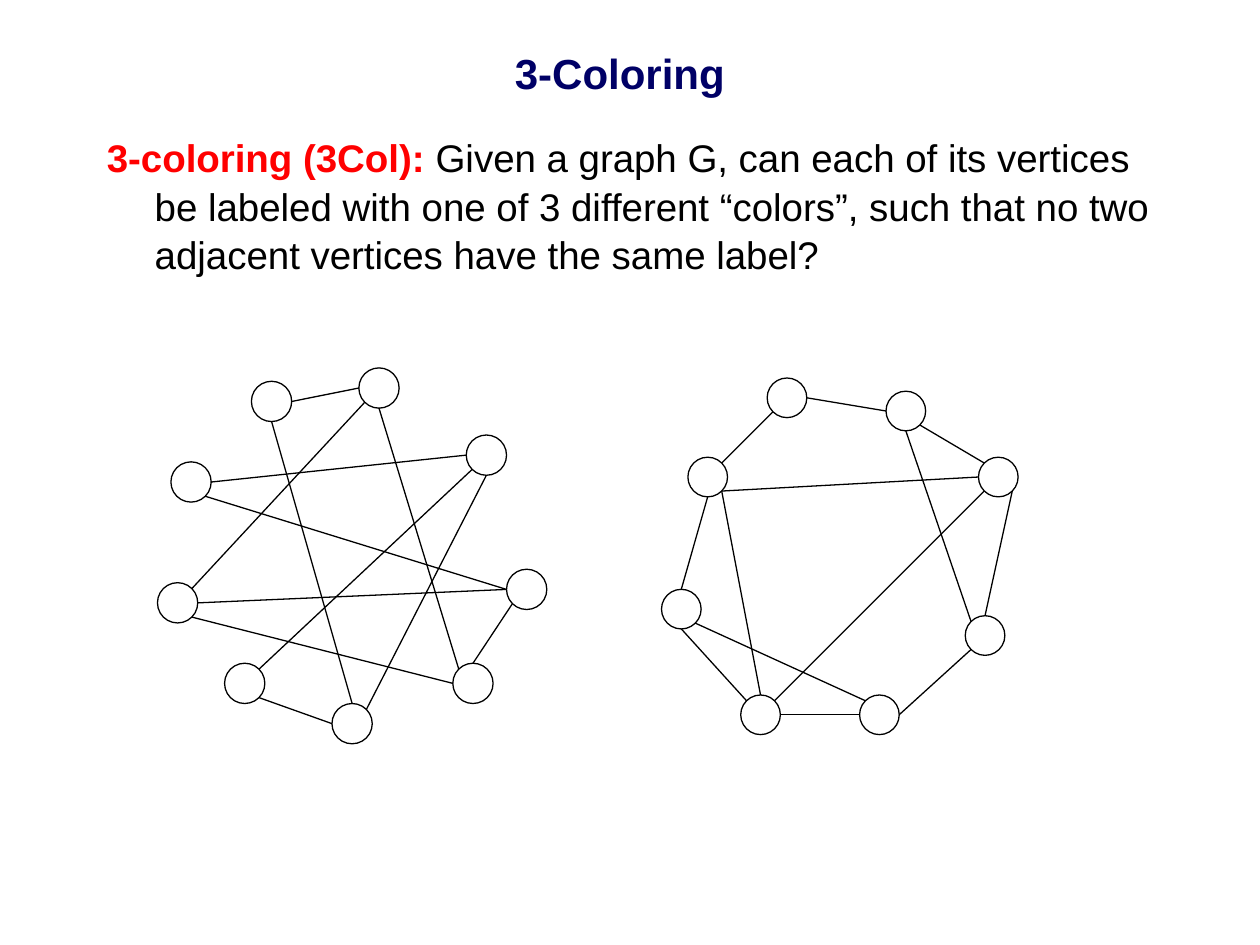
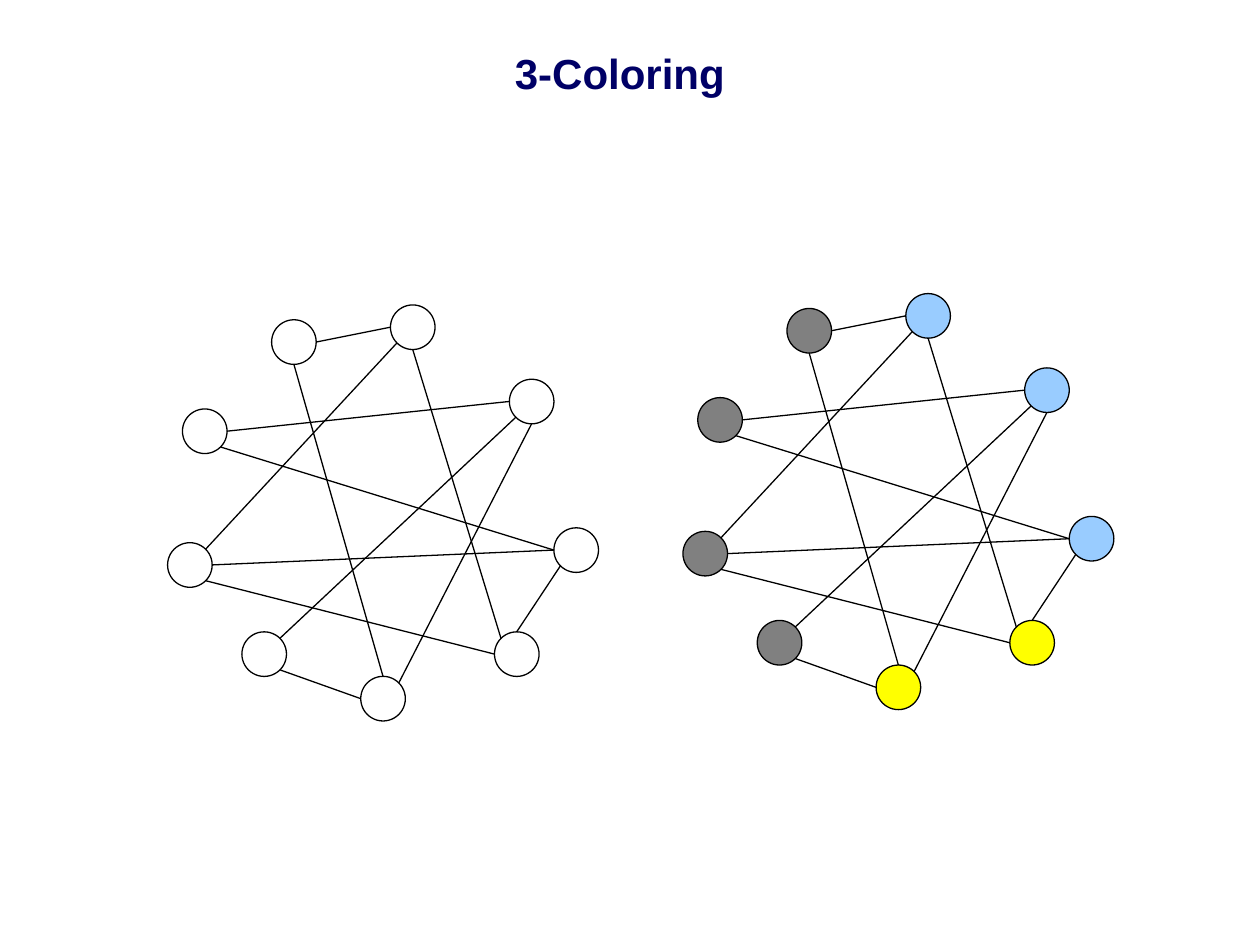
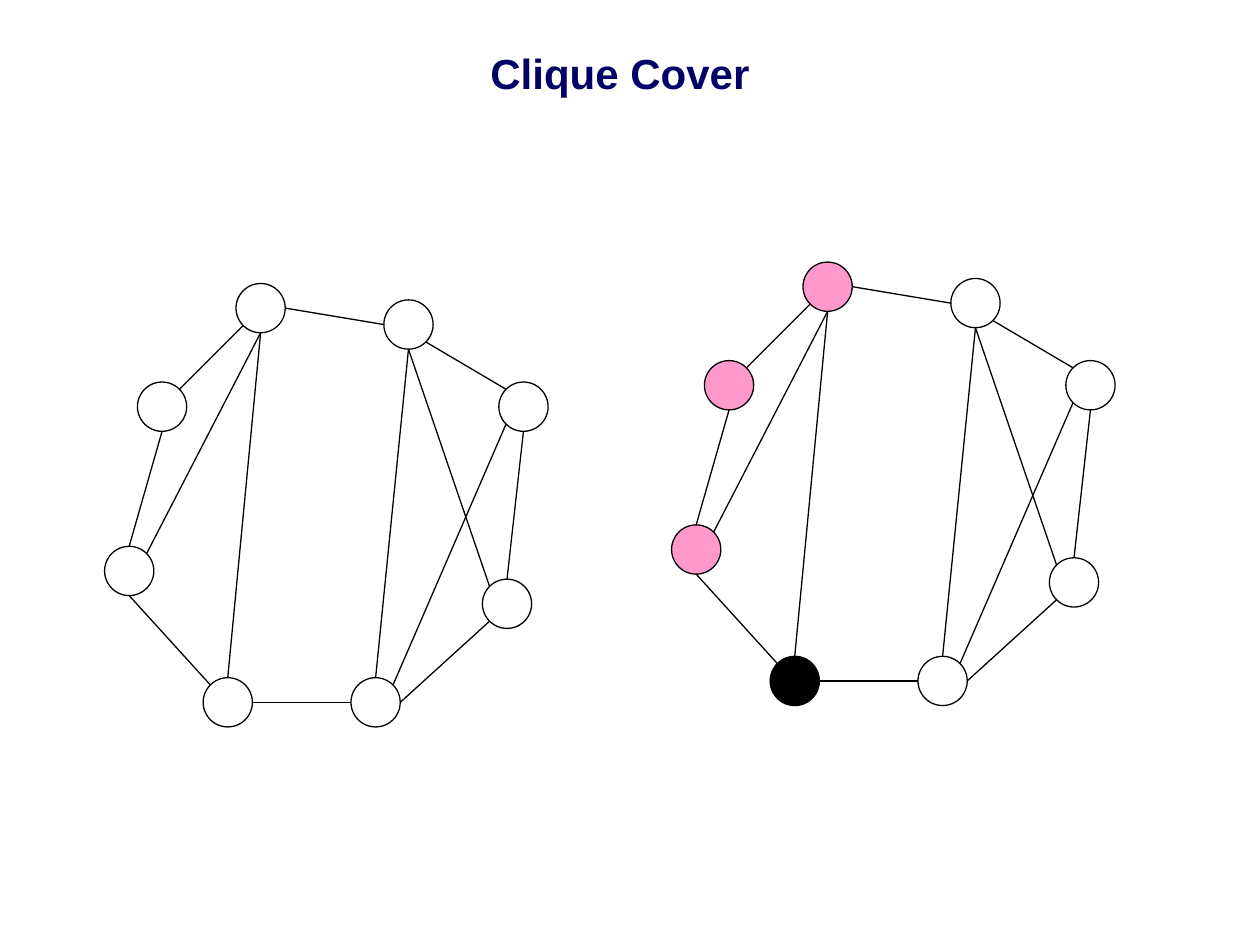
import math
from dataclasses import dataclass
from enum import IntEnum
from typing import NamedTuple

import lxml.etree
import pptx
import pptx.dml.color
import pptx.enum.shapes
import pptx.enum.text
import pptx.oxml.ns
import pptx.presentation
import pptx.slide
import pptx.text.text
import pptx.util
from pptx.util import Inches


@dataclass(frozen=True)
class Theme:
    font: str = "Arial"
    title_size: float = 24
    body_size: float = 22
    line_width: float = 0.75
    navy: str = "000066"
    red: str = "FF0000"
    black: str = "000000"
    white: str = "FFFFFF"
    gray: str = "808080"
    yellow: str = "FFFF00"
    blue: str = "99CCFF"
    pink: str = "FF99CC"


THEME = Theme()
NODE_UNITS = 3


class Site(IntEnum):
    RIGHT = 0
    BOTTOM_RIGHT = 1
    BOTTOM = 2
    BOTTOM_LEFT = 3
    LEFT = 4
    TOP_LEFT = 5
    TOP = 6
    TOP_RIGHT = 7


class Node(NamedTuple):
    column: int
    row: int


class Edge(NamedTuple):
    start: int
    start_site: Site
    end: int
    end_site: Site


@dataclass(frozen=True)
class Graph:
    nodes: tuple[Node, ...]
    edges: tuple[Edge, ...]

    @property
    def width_units(self) -> int:
        return max(node.column for node in self.nodes) + NODE_UNITS


@dataclass(frozen=True)
class Drawing:
    graph: Graph
    left: float
    top: float
    width: float
    fills: tuple[str, ...] = ()


@dataclass(frozen=True)
class GraphSlide:
    title: str
    drawings: tuple[Drawing, ...]
    term: str = ""
    definition: str = ""


NINE_NODES = Graph(
    nodes=(
        Node(7, 1), Node(1, 7), Node(0, 16), Node(13, 25), Node(15, 0),
        Node(23, 5), Node(22, 22), Node(26, 15), Node(5, 22),
    ),
    edges=(
        Edge(0, Site.BOTTOM, 3, Site.TOP),
        Edge(4, Site.BOTTOM, 6, Site.TOP_LEFT),
        Edge(7, Site.LEFT, 2, Site.RIGHT),
        Edge(1, Site.RIGHT, 5, Site.LEFT),
        Edge(0, Site.RIGHT, 4, Site.LEFT),
        Edge(6, Site.TOP, 7, Site.BOTTOM_LEFT),
        Edge(7, Site.LEFT, 1, Site.BOTTOM_RIGHT),
        Edge(2, Site.TOP_RIGHT, 4, Site.BOTTOM_LEFT),
        Edge(2, Site.BOTTOM_RIGHT, 6, Site.LEFT),
        Edge(8, Site.TOP_RIGHT, 5, Site.BOTTOM_LEFT),
        Edge(8, Site.BOTTOM_RIGHT, 3, Site.LEFT),
        Edge(5, Site.BOTTOM, 3, Site.TOP_RIGHT),
    ),
)

OCTAGON_NODES = (
    Node(8, 0), Node(2, 6), Node(0, 16), Node(15, 24),
    Node(17, 1), Node(24, 6), Node(23, 18), Node(6, 24),
)
OCTAGON_EDGES = (
    Edge(0, Site.BOTTOM_LEFT, 1, Site.TOP_RIGHT),
    Edge(4, Site.BOTTOM_RIGHT, 5, Site.TOP_LEFT),
    Edge(0, Site.RIGHT, 4, Site.LEFT),
    Edge(3, Site.RIGHT, 6, Site.BOTTOM_LEFT),
    Edge(2, Site.TOP, 1, Site.BOTTOM),
    Edge(7, Site.RIGHT, 3, Site.LEFT),
    Edge(2, Site.BOTTOM, 7, Site.TOP_LEFT),
    Edge(4, Site.BOTTOM, 6, Site.TOP_LEFT),
)
COLORING_OCTAGON = Graph(
    OCTAGON_NODES,
    OCTAGON_EDGES + (
        Edge(6, Site.TOP, 5, Site.BOTTOM_RIGHT),
        Edge(7, Site.TOP_RIGHT, 5, Site.BOTTOM_LEFT),
        Edge(2, Site.BOTTOM_RIGHT, 3, Site.TOP_LEFT),
        Edge(7, Site.TOP, 1, Site.BOTTOM_RIGHT),
        Edge(1, Site.BOTTOM_RIGHT, 5, Site.LEFT),
    ),
)
CLIQUE_OCTAGON = Graph(
    OCTAGON_NODES,
    OCTAGON_EDGES + (
        Edge(6, Site.TOP, 5, Site.BOTTOM),
        Edge(7, Site.TOP, 0, Site.BOTTOM),
        Edge(0, Site.BOTTOM, 2, Site.TOP_RIGHT),
        Edge(4, Site.BOTTOM, 3, Site.TOP),
        Edge(5, Site.BOTTOM_LEFT, 3, Site.TOP_RIGHT),
    ),
)

THREE_COLORS = (
    THEME.gray, THEME.gray, THEME.gray, THEME.yellow, THEME.blue,
    THEME.blue, THEME.yellow, THEME.blue, THEME.gray,
)
CLIQUE_COLORS = (THEME.pink,) * 3 + (THEME.white,) * 4 + (THEME.black,)

SLIDES = (
    GraphSlide(
        "3-Coloring",
        (
            Drawing(NINE_NODES, 1.25, 2.92, 3.09),
            Drawing(COLORING_OCTAGON, 5.25, 3, 2.83),
        ),
        "3-coloring (3Col):",
        " Given a graph G, can each of its vertices be labeled with one of 3 "
        "different “colors”, such that no two adjacent vertices have the same label?",
    ),
    GraphSlide(
        "3-Coloring",
        (
            Drawing(NINE_NODES, 1.33, 2.42, 3.42),
            Drawing(NINE_NODES, 5.42, 2.33, 3.42, THREE_COLORS),
        ),
    ),
    GraphSlide(
        "Clique Cover",
        (
            Drawing(CLIQUE_OCTAGON, 5.33, 2.08, 3.52, CLIQUE_COLORS),
            Drawing(CLIQUE_OCTAGON, 0.83, 2.25, 3.52),
        ),
    ),
)


def rgb(color: str) -> pptx.dml.color.RGBColor:
    return pptx.dml.color.RGBColor.from_string(color)


def format_span(span: pptx.text.text._Run, size: float, color: str, bold: bool) -> None:
    span.font.name = THEME.font
    span.font.size = pptx.util.Pt(size)
    span.font.bold = bold
    span.font.color.rgb = rgb(color)


def format_line(line: pptx.dml.line.LineFormat) -> None:
    line.color.rgb = rgb(THEME.black)
    line.width = pptx.util.Pt(THEME.line_width)


def add_title(page: pptx.slide.Slide, text: str) -> None:
    title = page.shapes.title
    title.left, title.top = Inches(0.67), Inches(0.33)
    title.width, title.height = Inches(8.5), Inches(0.5)
    title.text_frame.text = text
    title.text_frame.vertical_anchor = pptx.enum.text.MSO_ANCHOR.MIDDLE
    para = title.text_frame.paragraphs[0]
    para.alignment = pptx.enum.text.PP_ALIGN.CENTER
    format_span(para.runs[0], THEME.title_size, THEME.navy, True)


def add_definition(page: pptx.slide.Slide, term: str, definition: str) -> None:
    box = page.shapes.add_textbox(Inches(0.75), Inches(1), Inches(8.5), Inches(1.67))
    box.text_frame.word_wrap = True
    para = box.text_frame.paragraphs[0]
    para.line_spacing = 1.05
    indent = Inches(0.38)
    properties = para._p.get_or_add_pPr()
    properties.set("marL", str(indent))
    properties.set("indent", str(-indent))
    for text, color, bold in (
        (term, THEME.red, True),
        (definition, THEME.black, False),
    ):
        span = para.add_run()
        span.text = text
        format_span(span, THEME.body_size, color, bold)


def draw_graph(page: pptx.slide.Slide, drawing: Drawing) -> None:
    graph = drawing.graph
    unit = drawing.width / graph.width_units
    diameter = NODE_UNITS * unit
    group = page.shapes.add_group_shape()

    def corner(node: Node) -> tuple[float, float]:
        return drawing.left + node.column * unit, drawing.top + node.row * unit

    def site_point(index: int, site: Site) -> tuple[int, int]:
        left, top = corner(graph.nodes[index])
        angle = site * math.pi / 4
        radius = diameter / 2
        return (
            Inches(left + radius * (1 + math.cos(angle))),
            Inches(top + radius * (1 + math.sin(angle))),
        )

    fills = drawing.fills or (THEME.white,) * len(graph.nodes)
    for node, fill in zip(graph.nodes, fills):
        left, top = corner(node)
        circle = group.shapes.add_shape(
            pptx.enum.shapes.MSO_SHAPE.OVAL,
            Inches(left), Inches(top), Inches(diameter), Inches(diameter),
        )
        circle.shadow.inherit = False
        circle.fill.solid()
        circle.fill.fore_color.rgb = rgb(fill)
        format_line(circle.line)

    for edge in graph.edges:
        connector = group.shapes.add_connector(
            pptx.enum.shapes.MSO_CONNECTOR.STRAIGHT,
            *site_point(edge.start, edge.start_site),
            *site_point(edge.end, edge.end_site),
        )
        format_line(connector.line)
        lxml.etree.SubElement(
            connector._element.spPr, pptx.oxml.ns.qn("a:effectLst")
        )


def add_graph_slide(deck: pptx.presentation.Presentation, content: GraphSlide) -> None:
    page = deck.slides.add_slide(deck.slide_layouts.get_by_name("Title Only"))
    add_title(page, content.title)
    if content.term:
        add_definition(page, content.term, content.definition)
    for drawing in content.drawings:
        draw_graph(page, drawing)


def main() -> None:
    deck = pptx.Presentation()
    deck.slide_width, deck.slide_height = Inches(10), Inches(7.5)
    for content in SLIDES:
        add_graph_slide(deck, content)
    deck.save("out.pptx")


if __name__ == "__main__":
    main()
